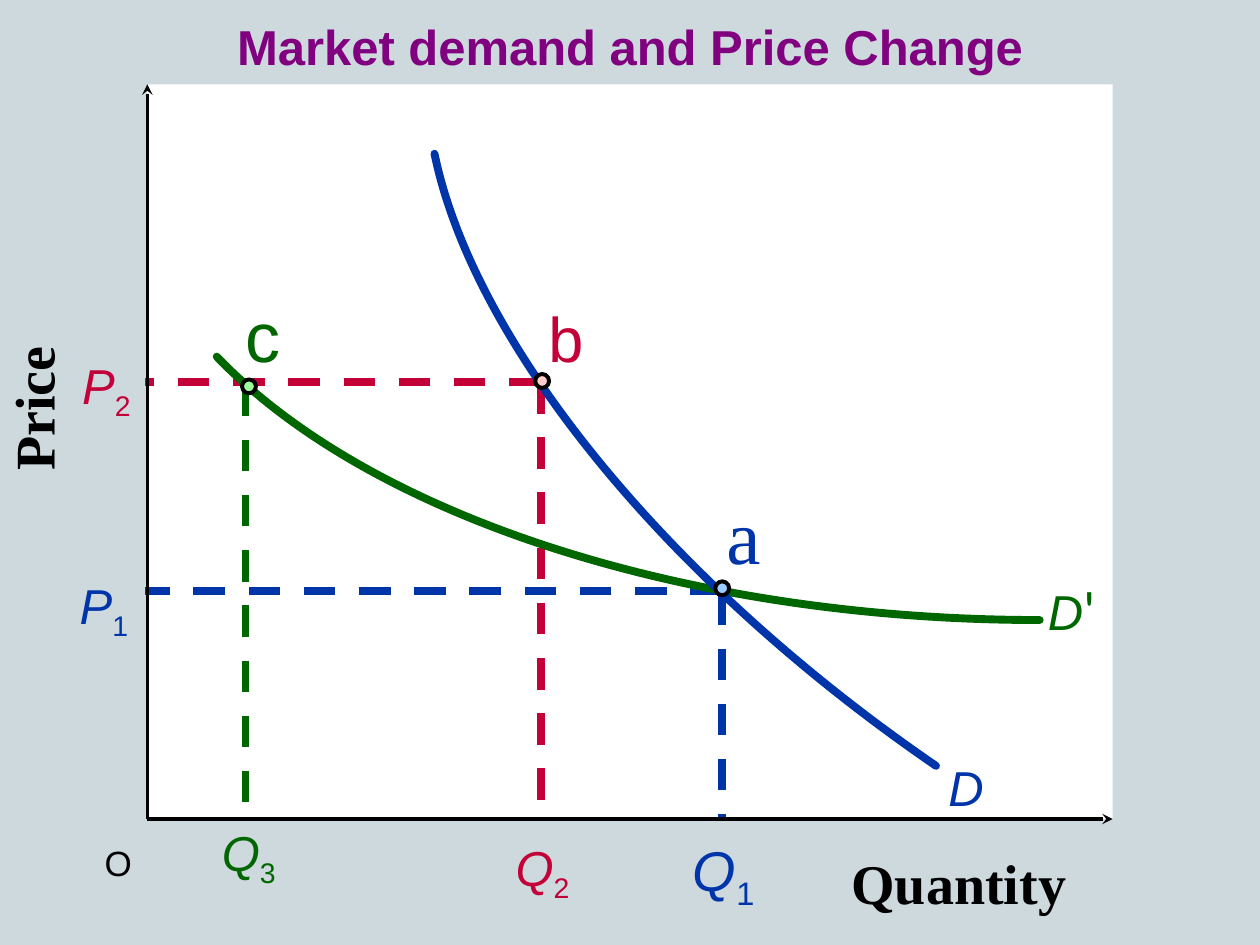
from lxml.etree import SubElement
from pptx import Presentation
from pptx.dml.color import RGBColor
from pptx.enum.dml import MSO_LINE
from pptx.enum.shapes import MSO_CONNECTOR, MSO_SHAPE
from pptx.enum.text import MSO_ANCHOR, MSO_AUTO_SIZE, PP_ALIGN
from pptx.oxml.ns import qn
from pptx.util import Cm, Pt

COLORS = {
    "background": "CED9DE",
    "plot": "FFFFFF",
    "ink": "000000",
    "title": "800080",
    "green": "006600",
    "red": "C40038",
    "blue": "0035AA",
    "light_green": "99FF99",
    "light_red": "FFCCCC",
    "light_blue": "99CCFF",
}
LEFT, TOP, RIGHT, BOTTOM = 2.97, 1.7, 22.43, 16.51
MARKER_SIZE = 0.28


def color(name):
    return RGBColor.from_string(COLORS[name])


def set_attributes(target, values):
    for name, value in values.items():
        setattr(target, name, value)


def style_line(shape, line_color, width):
    shape.line.color.rgb = color(line_color)
    shape.line.width = Pt(width)


def format_run(run, size, font, text_color, **values):
    set_attributes(run.font, {"size": Pt(size), "name": font, **values})
    run.font.color.rgb = color(text_color)


def add_title(slide, text):
    title = slide.shapes.title
    set_attributes(title, {"left": Cm(0), "top": Cm(0),
                           "width": Cm(25.4), "height": Cm(1.65)})
    frame = title.text_frame
    set_attributes(frame, {"vertical_anchor": MSO_ANCHOR.BOTTOM, "word_wrap": True,
                           "auto_size": MSO_AUTO_SIZE.NONE})
    paragraph = frame.paragraphs[0]
    paragraph.alignment = PP_ALIGN.CENTER
    run = paragraph.add_run()
    run.text = text
    format_run(run, 28, "Arial", "title", bold=True)
    properties = run.font._element
    effects = SubElement(properties, qn("a:effectLst"))
    properties.find(qn("a:solidFill")).addnext(effects)
    shadow = SubElement(effects, qn("a:outerShdw"), blurRad="38100", dist="38100",
                        dir="2700000", algn="tl")
    SubElement(shadow, qn("a:srgbClr"), val=COLORS["ink"])


def add_plot_area(slide):
    area = slide.shapes.add_shape(MSO_SHAPE.RECTANGLE, Cm(LEFT), Cm(TOP),
                                  Cm(RIGHT - LEFT), Cm(BOTTOM - TOP))
    area.shadow.inherit = False
    area.fill.solid()
    area.fill.fore_color.rgb = color("plot")
    area.line.fill.background()


def add_line(slide, start, end, line_color, width):
    line = slide.shapes.add_connector(MSO_CONNECTOR.STRAIGHT,
                                      *(Cm(value) for value in start + end))
    style_line(line, line_color, width)
    SubElement(line._element.spPr, qn("a:effectLst"))
    return line


def add_guide(slide, start, end, line_color):
    add_line(slide, start, end, line_color, 4.5).line.dash_style = MSO_LINE.DASH


def add_axis(slide, start, end, arrow):
    axis = add_line(slide, start, end, "ink", 2)
    SubElement(axis.line._get_or_add_ln(), qn(f"a:{arrow}"), type="stealth")


def add_curve(slide, points, line_color):
    start, *others = [(Cm(x), Cm(y)) for x, y in points]
    builder = slide.shapes.build_freeform(*start)
    builder.add_line_segments(others, close=False)
    curve = builder.convert_to_shape()
    curve.shadow.inherit = False
    curve.fill.background()
    style_line(curve, line_color, 4.5)
    outline = curve.line._get_or_add_ln()
    outline.set("cap", "rnd")
    SubElement(outline, qn("a:round"))
    segments = list(curve._element.iter(qn("a:lnTo")))
    bezier = SubElement(segments[0].getparent(), qn("a:cubicBezTo"))
    for segment in segments:
        bezier.append(segment[0])
        segment.getparent().remove(segment)


def add_marker(slide, center, fill):
    x, y = (Cm(value - MARKER_SIZE / 2) for value in center)
    marker = slide.shapes.add_shape(MSO_SHAPE.OVAL, x, y, Cm(MARKER_SIZE), Cm(MARKER_SIZE))
    marker.shadow.inherit = False
    marker.fill.solid()
    marker.fill.fore_color.rgb = color(fill)
    style_line(marker, "ink", 2.25)


def add_label(slide, box, text, size, text_color, font="Arial", rotation=0, **values):
    label = slide.shapes.add_textbox(*(Cm(value) for value in box))
    label.rotation = rotation
    set_attributes(label.text_frame, {"word_wrap": False,
                                      "auto_size": MSO_AUTO_SIZE.SHAPE_TO_FIT_TEXT})
    paragraph = label.text_frame.paragraphs[0]
    paragraph.alignment = PP_ALIGN.CENTER
    run = paragraph.add_run()
    run.text = text
    format_run(run, size, font, text_color, **values)
    return paragraph


def add_subscript_label(slide, box, letter, index, size, text_color):
    paragraph = add_label(slide, box, letter, size, text_color, italic=True)
    run = paragraph.add_run()
    run.text = index
    format_run(run, size, "Arial", text_color, italic=False)
    run.font._element.set("baseline", "-25000")


def main():
    presentation = Presentation()
    set_attributes(presentation, {"slide_width": Cm(25.4), "slide_height": Cm(19.05)})
    slide = presentation.slides.add_slide(presentation.slide_layouts[5])
    slide.background.fill.solid()
    slide.background.fill.fore_color.rgb = color("background")

    add_plot_area(slide)
    for start, end, line_color in [
        ((4.95, 7.75), (4.95, 16.46), "green"),
        ((10.9, 7.7), (2.92, 7.7), "red"),
        ((10.9, 7.7), (10.9, BOTTOM), "red"),
        ((14.55, 11.91), (2.92, 11.91), "blue"),
        ((14.55, 11.96), (14.55, 16.48), "blue"),
    ]:
        add_guide(slide, start, end, line_color)

    add_curve(slide, [(20.96, 12.5), (13.92, 12.5), (7.49, 10.44), (4.37, 7.19)], "green")
    add_curve(slide, [(18.87, 15.44), (13.46, 11.73), (9.55, 6.93), (8.76, 3.1)], "blue")
    add_axis(slide, (LEFT, BOTTOM), (RIGHT, BOTTOM), "tailEnd")
    add_axis(slide, (LEFT, TOP), (LEFT, BOTTOM), "headEnd")

    for center, fill in [((10.93, 7.68), "light_red"), ((5.02, 7.79), "light_green"),
                         ((14.56, 11.86), "light_blue")]:
        add_marker(slide, center, fill)

    serif = "Times New Roman"
    add_label(slide, (16.89, 16.99, 4.88, 1.63), "Quantity", 32, "ink", serif, bold=True)
    add_label(slide, (-0.86, 7.42, 3.05, 1.63), "Price", 32, "ink", serif, 270, bold=True)
    add_label(slide, (1.85, 16.84, 1.07, 1.09), "O", 20, "ink")

    for box, letter, index, size, text_color in [
        ((4.19, 16.46, 1.65, 1.45), "Q", "3", 28, "green"),
        ((10.11, 16.76, 1.65, 1.45), "Q", "2", 28, "red"),
        ((13.67, 16.71, 1.83, 1.63), "Q", "1", 32, "blue"),
        ((1.32, 11.48, 1.55, 1.45), "P", "1", 28, "blue"),
        ((1.37, 7.04, 1.55, 1.45), "P", "2", 28, "red"),
    ]:
        add_subscript_label(slide, box, letter, index, size, text_color)

    add_label(slide, (4.7, 5.77, 1.22, 1.96), "c", 40, "green")
    add_label(slide, (18.87, 15.14, 1.12, 1.27), "D", 28, "blue", italic=True)
    shifted = add_label(slide, (20.73, 11.46, 1.75, 1.6), "D", 28, "green", italic=True)
    prime = shifted.add_run()
    prime.text = "'"
    format_run(prime, 32, "Calibri", "green", italic=False)
    add_label(slide, (14.38, 9.7, 1.22, 2.13), "a", 44, "blue", serif)
    add_label(slide, (10.8, 5.92, 1.22, 1.8), "b", 36, "red")

    add_title(slide, "Market demand and Price Change")
    presentation.save("out.pptx")


if __name__ == "__main__":
    main()
